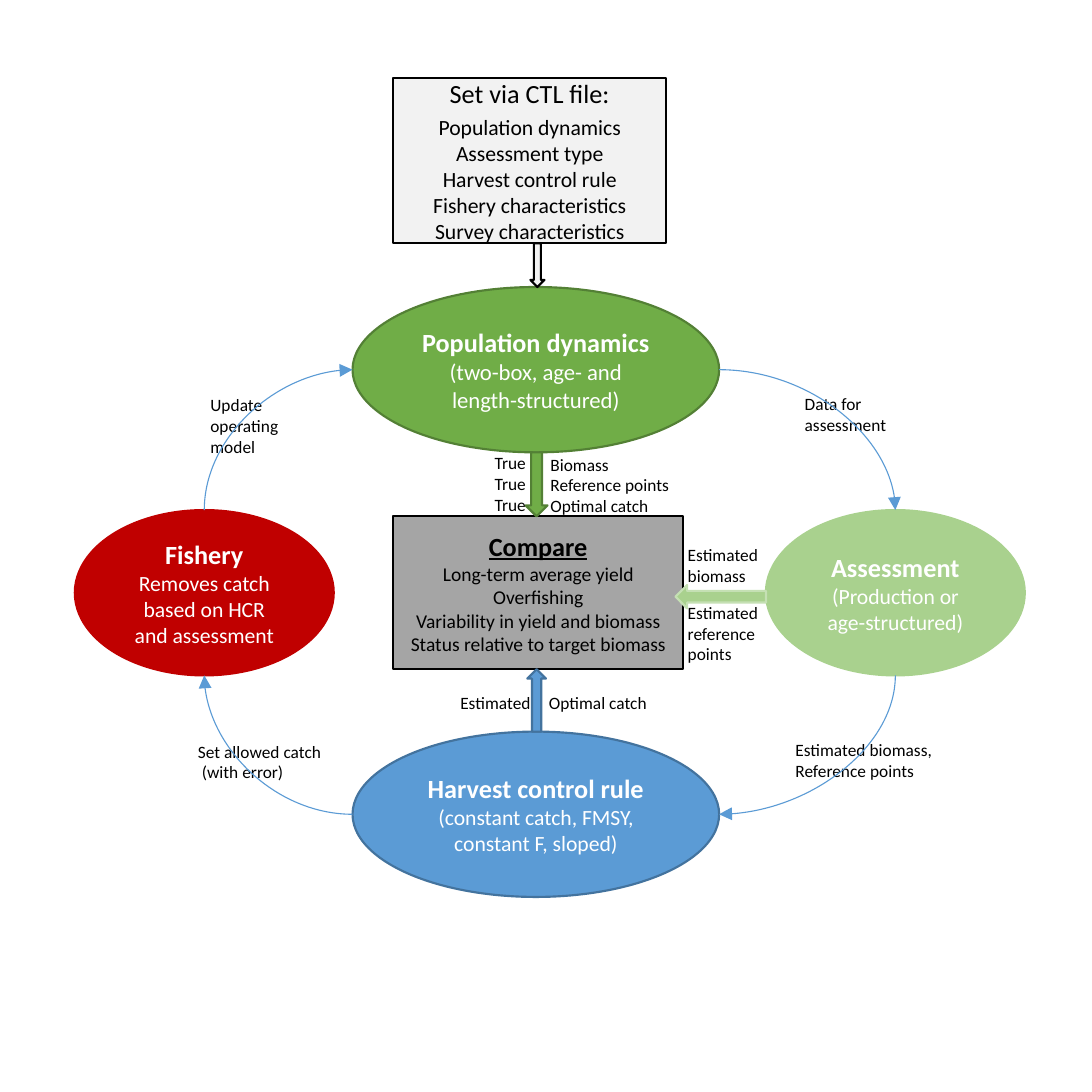
from lxml import etree
from pptx import Presentation
from pptx.dml.color import RGBColor
from pptx.enum import shapes as kinds, text as txt
from pptx.oxml import ns
from pptx.util import Inches, Pt

BLACK = RGBColor(0x00, 0x00, 0x00)
WHITE = RGBColor(0xFF, 0xFF, 0xFF)
PALE = RGBColor(0xF2, 0xF2, 0xF2)
GRAY = RGBColor(0xA5, 0xA5, 0xA5)
GREEN = RGBColor(0x70, 0xAD, 0x47)
MOSS = RGBColor(0x53, 0x80, 0x35)
LIME = RGBColor(0xA9, 0xD1, 0x8E)
MINT = RGBColor(0xC5, 0xE0, 0xB4)
BLUE = RGBColor(0x5B, 0x9B, 0xD5)
NAVY = RGBColor(0x43, 0x73, 0x9E)
RED = RGBColor(0xC0, 0x00, 0x00)

FORM = kinds.MSO_SHAPE
ALIGN = txt.PP_ALIGN

deck = Presentation()
deck.slide_width = deck.slide_height = Inches(7)
slide = deck.slides.add_slide(deck.slide_layouts[6])


def write(frame, lines, align):
    """Fill a frame with (text, size, colour, bold) lines."""
    for i, (words, size, color, bold) in enumerate(lines):
        para = frame.paragraphs[0] if i == 0 else frame.add_paragraph()
        para.alignment = align
        run = para.add_run()
        run.text = words
        run.font.name = "Calibri"
        run.font.size = Pt(size)
        run.font.bold = bold
        run.font.color.rgb = color


def draw(form, spot, fill, edge):
    """Add a filled shape with a 1 pt outline."""
    shape = slide.shapes.add_shape(form, *map(Inches, spot))
    shape.shadow.inherit = False
    shape.fill.solid()
    shape.fill.fore_color.rgb = fill
    shape.line.color.rgb = edge
    shape.line.width = Pt(1)
    return shape


# Labels beside the arrows and curves
labels = [
    (3.43, 2.86, 1.78, ALIGN.LEFT, ["Biomass", "Reference points", "Optimal catch"]),
    (2.67, 2.85, 0.8, ALIGN.RIGHT, ["True"] * 3),
    (4.31, 3.81, 1.78, ALIGN.LEFT, ["Estimated", "reference ", "points"]),
    (4.31, 3.44, 1.78, ALIGN.LEFT, ["Estimated", "biomass"]),
    (5, 4.69, 1.78, ALIGN.LEFT, ["Estimated biomass, ", "Reference points"]),
    (2.7, 4.39, 0.8, ALIGN.RIGHT, ["Estimated"]),
    (3.42, 4.39, 1, ALIGN.LEFT, ["Optimal catch"]),
    (5.06, 2.47, 1.78, ALIGN.LEFT, ["Data for ", "assessment"]),
    (1.25, 2.48, 1.78, ALIGN.LEFT, ["Update ", "operating", "model"]),
    (1.17, 4.7, 1.78, ALIGN.LEFT, ["Set allowed catch", " (with error)"]),
]
for left, top, width, align, lines in labels:
    high = 0.1 + 0.135 * len(lines)
    box = slide.shapes.add_textbox(*map(Inches, (left, top, width, high)))
    box.text_frame.word_wrap = True
    write(box.text_frame, [(line, 8, BLACK, False) for line in lines], align)

# Settings and comparison boxes
boxes = [
    ((2.52, 0.5, 1.75, 1.06), PALE, "Set via CTL file:", False, 10,
     ["Population dynamics", "Assessment type", "Harvest control rule",
      "Fishery characteristics", "Survey characteristics"]),
    ((2.52, 3.31, 1.86, 0.98), GRAY, "Compare", True, 9,
     ["Long-term average yield", "Overfishing",
      "Variability in yield and biomass", "Status relative to target biomass"]),
]
for spot, fill, head, strong, size, items in boxes:
    frame = draw(FORM.RECTANGLE, spot, fill, BLACK).text_frame
    lines = [(head, 12.1, BLACK, strong)]
    lines += [(item, size, BLACK, False) for item in items]
    write(frame, lines, ALIGN.CENTER)
    if strong:
        frame.paragraphs[0].runs[0].font.underline = True
    else:
        frame.paragraphs[1].space_before = Pt(2.5)

# Ellipses of the cycle
stages = [
    ("Population dynamics", "(two-box, age- and length-structured)", 10.5,
     (2.26, 1.84, 2.35, 1.06), GREEN, MOSS),
    ("Assessment", "(Production or age-structured)", 10,
     (4.91, 3.27, 1.66, 1.06), LIME, LIME),
    ("Harvest control rule", "(constant catch, FMSY, constant F, sloped)", 10,
     (2.26, 4.69, 2.35, 1.06), BLUE, NAVY),
    ("Fishery", "Removes catch based on HCR and assessment", 10,
     (0.48, 3.27, 1.66, 1.06), RED, RED),
]
ovals = []
for head, note, size, spot, fill, edge in stages:
    oval = draw(FORM.OVAL, spot, fill, edge)
    lines = [(head, 12.1, WHITE, True), (note, size, WHITE, False)]
    write(oval.text_frame, lines, ALIGN.CENTER)
    ovals.append(oval)
model, assess, rule, fleet = ovals

# Block arrows
for form, spot, fill, edge in [
    (FORM.DOWN_ARROW, (3.37, 2.9, 0.14, 0.41), GREEN, MOSS),
    (FORM.LEFT_ARROW, (4.33, 3.75, 0.58, 0.15), LIME, MINT),
    (FORM.UP_ARROW, (3.38, 4.29, 0.12, 0.4), BLUE, NAVY),
    (FORM.DOWN_ARROW, (3.4, 1.56, 0.09, 0.28), PALE, BLACK),
]:
    draw(form, spot, fill, edge)

# Curves from the side of a wide oval to the top or bottom of a side oval
TOP, LEFT, BOTTOM, RIGHT = 0, 2, 4, 6
for wide, exit, side, entry, tip in [
    (model, RIGHT, assess, TOP, "tailEnd"),
    (rule, RIGHT, assess, BOTTOM, "headEnd"),
    (rule, LEFT, fleet, BOTTOM, "tailEnd"),
    (model, LEFT, fleet, TOP, "headEnd"),
]:
    x = wide.left + (wide.width if exit == RIGHT else 0)
    y = side.top + (side.height if entry == BOTTOM else 0)
    curve = slide.shapes.add_connector(
        kinds.MSO_CONNECTOR.CURVE, x, wide.top + wide.height // 2,
        side.left + side.width // 2, y)
    curve.line.color.rgb = BLUE
    curve.line.width = Pt(0.5)
    node = curve.element
    node.find(".//" + ns.qn("a:prstGeom")).set("prst", "curvedConnector2")
    glue = node.find(".//" + ns.qn("p:cNvCxnSpPr"))
    for tag, oval, site in [("a:stCxn", wide, exit), ("a:endCxn", side, entry)]:
        etree.SubElement(glue, ns.qn(tag), id=str(oval.shape_id), idx=str(site))
    line = node.find(".//" + ns.qn("a:ln"))
    etree.SubElement(line, ns.qn("a:" + tip), type="triangle")
    etree.SubElement(node.find(ns.qn("p:spPr")), ns.qn("a:effectLst"))

deck.save("out.pptx")
